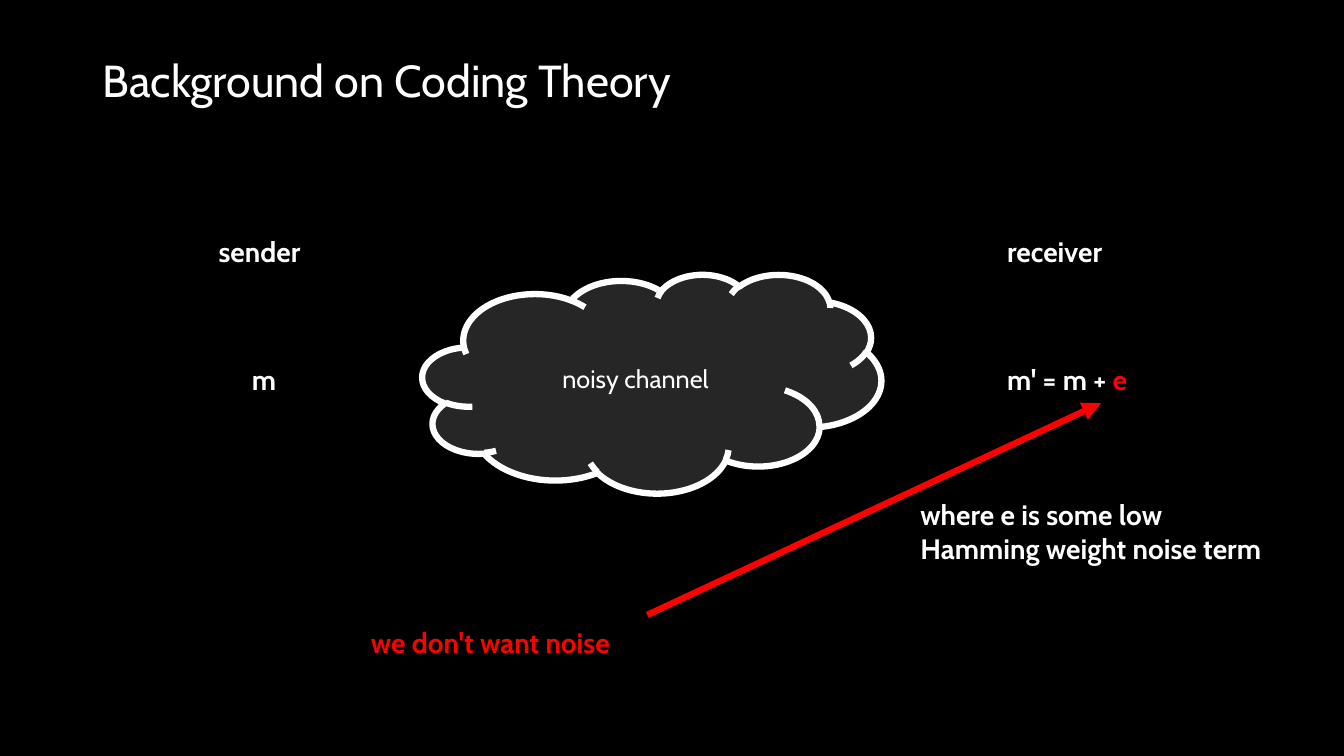
from lxml.etree import SubElement
from pptx import Presentation
from pptx.dml.color import RGBColor
from pptx.enum.shapes import MSO_CONNECTOR as Conn, MSO_SHAPE as Shape
from pptx.enum.text import MSO_ANCHOR as Anchor, MSO_AUTO_SIZE as Fit, PP_ALIGN as Align
from pptx.oxml.ns import qn
from pptx.util import Inches, Pt

WHITE, RED, BLACK, GREY = "FFFFFF", "FF0000", "000000", "262626"


def rgb(value):
    return RGBColor.from_string(value)


class Deck:
    """Holds the style and the current slide, and draws each kind of element."""

    font = "Cabin"
    line_width = Pt(4.5)

    def __init__(self, width, height):
        self.prs = Presentation()
        self.prs.slide_width, self.prs.slide_height = Inches(width), Inches(height)
        self.s = None

    def add_slide(self, background):
        self.s = self.prs.slides.add_slide(self.prs.slide_layouts[6])
        self.s.background.fill.solid()
        self.s.background.fill.fore_color.rgb = rgb(background)

    def set_text(self, sp, runs, size, bold=False, frame=None, para=None):
        tf = sp.text_frame
        p = tf.paragraphs[0]
        for target, formats in ((tf, frame), (p, para)):
            for name, value in (formats or {}).items():
                setattr(target, name, value)
        for text, color in runs:
            r = p.add_run()
            r.text = text
            for name, value in {"name": self.font, "size": Pt(size), "bold": bold}.items():
                setattr(r.font, name, value)
            r.font.color.rgb = rgb(color)

    def title(self, box, text):
        sp = self.s.shapes.add_textbox(*map(Inches, box))
        self.set_text(sp, [(text, WHITE)], 32,
                      frame={"word_wrap": True, "vertical_anchor": Anchor.MIDDLE},
                      para={"line_spacing": 0.9})

    def label(self, box, *runs, wrap=False):
        sp = self.s.shapes.add_textbox(*map(Inches, box))
        self.set_text(sp, runs, 20, bold=True,
                      frame={"word_wrap": wrap, "auto_size": Fit.SHAPE_TO_FIT_TEXT})

    def cloud(self, box, text):
        sp = self.s.shapes.add_shape(Shape.CLOUD, *map(Inches, box))
        sp.shadow.inherit = False
        sp.fill.solid()
        sp.fill.fore_color.rgb = rgb(GREY)
        sp.line.color.rgb = rgb(WHITE)
        sp.line.width = self.line_width
        self.set_text(sp, [(text, WHITE)], 18,
                      frame={"word_wrap": True, "vertical_anchor": Anchor.MIDDLE},
                      para={"alignment": Align.CENTER})

    def arrow(self, start, end, color):
        cx = self.s.shapes.add_connector(Conn.STRAIGHT, *map(Inches, start + end))
        cx.line.color.rgb = rgb(color)
        cx.line.width = self.line_width
        props = cx._element.spPr
        SubElement(props.find(qn("a:ln")), qn("a:tailEnd"), type="triangle")
        SubElement(props, qn("a:effectLst"))

    def save(self):
        self.prs.save("out.pptx")


def main():
    deck = Deck(13.33, 7.5)
    deck.add_slide(BLACK)
    deck.title((0.92, 0.4, 11.5, 0.85), "Background on Coding Theory")
    heading_y, message_y, receiver_x, row = 2.28, 3.55, 9.89, 0.44
    deck.label((2.4, message_y, 0.5, row), ("m", WHITE))
    deck.cloud((4.19, 2.72, 4.55, 2.17), "noisy channel")
    deck.label((receiver_x, message_y, 1.48, row), ("m' = m + ", WHITE), ("e", RED))
    deck.label((2.07, heading_y, 1.18, row), ("sender", WHITE))
    deck.label((receiver_x, heading_y, 1.37, row), ("receiver", WHITE))
    deck.label((9.03, 4.89, 3.82, 0.77),
               ("where e is some low Hamming weight noise term", WHITE), wrap=True)
    deck.arrow((6.42, 6.1), (10.92, 4), RED)
    deck.label((3.58, 6.16, 2.81, row), ("we don't want noise", RED))
    deck.save()


if __name__ == "__main__":
    main()
